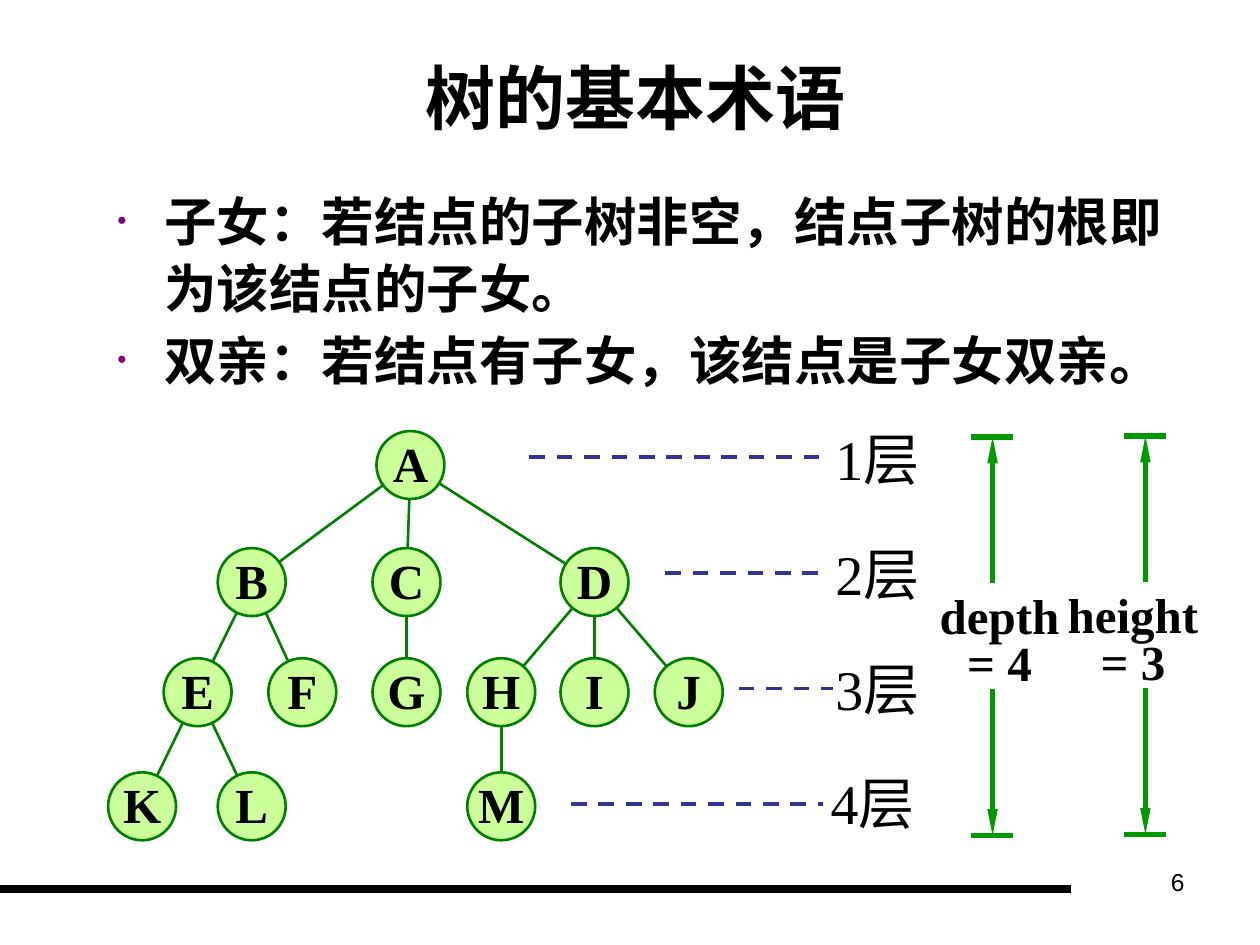
from math import hypot

from lxml import etree
from pptx import Presentation
from pptx import util as u
from pptx.dml.color import RGBColor
from pptx.enum import dml, shapes, text
from pptx.oxml import ns

Cm, Pt = u.Cm, u.Pt
HUES = {
    "ink": "000000",
    "bullet": "800080",
    "node": "CCFF99",
    "edge": "008000",
    "level": "333399",
    "span": "009900",
}
SERIF, SANS = "Times New Roman", "Arial"
MID = text.PP_ALIGN.CENTER

SIZE = 1.37  # node diameter
ROWS = (0, 2.36, 4.58, 6.88)
COLS = {
    "A": (5.41, 0),
    "B": (2.21, 1), "C": (5.33, 1), "D": (9.12, 1),
    "E": (1.12, 2), "F": (3.23, 2), "G": (5.33, 2),
    "H": (7.24, 2), "I": (9.12, 2), "J": (11.02, 2),
    "K": (0, 3), "L": (2.21, 3), "M": (7.24, 3),
}
KIDS = {"A": "BCD", "B": "EF", "C": "G", "D": "HIJ", "E": "KL", "H": "M"}


def hue(name):
    return RGBColor.from_string(HUES[name])


def add(parent, tag, **attrs):
    return etree.SubElement(parent, ns.qn(tag), attrs)


def style(frame, size, font=SERIF, bold=False, align=MID):
    for para in frame.paragraphs:
        para.alignment = align
        for run in para.runs:
            run.font.size = Pt(size)
            run.font.name = font
            run.font.bold = bold
            run.font.color.rgb = hue("ink")


def place(shape, left, top, width, height):
    shape.left, shape.top = Cm(left), Cm(top)
    shape.width, shape.height = Cm(width), Cm(height)


def line(slide, start, end, color, width, dash=False, arrow=False):
    """Straight line; an arrow points at its end."""
    link = slide.shapes.add_connector(
        shapes.MSO_CONNECTOR.STRAIGHT, *map(Cm, (*start, *end)))
    link.line.color.rgb = hue(color)
    link.line.width = Pt(width)
    if dash:
        link.line.dash_style = dml.MSO_LINE.DASH
    if arrow:
        add(link.line._get_or_add_ln(), "a:tailEnd",
            type="triangle", w="sm", len="lg")
    add(link._element.spPr, "a:effectLst")


def label(slide, words, left, top, width, height):
    """Unwrapped text box without side margins, centred on its box."""
    box = slide.shapes.add_textbox(*map(Cm, (left, top, width, height)))
    frame = box.text_frame
    frame.word_wrap = False
    frame.auto_size = text.MSO_AUTO_SIZE.SHAPE_TO_FIT_TEXT
    frame.margin_left = frame.margin_right = 0
    frame.vertical_anchor = text.MSO_ANCHOR.MIDDLE
    frame.text = words
    return frame


def title(slide, words, *box):
    head = slide.shapes.title
    place(head, *box)
    frame = head.text_frame
    frame.text = words
    frame.auto_size = text.MSO_AUTO_SIZE.NONE
    frame.vertical_anchor = text.MSO_ANCHOR.MIDDLE
    style(frame, 40, SANS, True)


def terms(slide, items, *box):
    body = slide.placeholders[1]
    place(body, *box)
    frame = body.text_frame
    frame.text = "\n".join(items)
    frame.auto_size = text.MSO_AUTO_SIZE.NONE
    for i, para in enumerate(frame.paragraphs):
        para.line_spacing = 1.05
        para.space_before = Pt(3.7 if i else 0)
        props = para._p.get_or_add_pPr()
        props.set("marL", str(Cm(0.95)))
        props.set("indent", str(-Cm(0.95)))
        add(add(props, "a:buClr"), "a:srgbClr", val=HUES["bullet"])
        add(props, "a:buSzPct", val="50000")
        add(props, "a:buChar", char="•")
    style(frame, 30, bold=True, align=text.PP_ALIGN.LEFT)


def tree(slide, left, top):
    spots = {name: (left + x, top + ROWS[row])
             for name, (x, row) in COLS.items()}
    half = SIZE / 2
    for name, kids in KIDS.items():
        x, y = (v + half for v in spots[name])
        for kid in kids:
            dx, dy = (b - a for a, b in zip(spots[name], spots[kid]))
            cut = (half - 0.05) / hypot(dx, dy)
            line(slide, (x + cut * dx, y + cut * dy),
                 (x + (1 - cut) * dx, y + (1 - cut) * dy), "edge", 1.5)
    for name, (x, y) in spots.items():
        node = slide.shapes.add_shape(
            shapes.MSO_SHAPE.OVAL, Cm(x), Cm(y), Cm(SIZE), Cm(SIZE))
        node.shadow.inherit = False
        node.fill.solid()
        node.fill.fore_color.rgb = hue("node")
        node.line.color.rgb = hue("edge")
        node.line.width = Pt(1.5)
        frame = node.text_frame
        frame.word_wrap = False
        frame.vertical_anchor = text.MSO_ANCHOR.MIDDLE
        frame.margin_left = frame.margin_right = frame.margin_top = 0
        frame.margin_bottom = Cm(0.1)
        frame.text = name
        style(frame, 28, bold=True)


def levels(slide, left, top):
    """Dashed guides that end at the level names."""
    guides = ((0, 5.92, 5.79), (2.74, 5.92, 5.79),
              (4.22, 6.12, 5.79), (0.84, 5.92, 5.69))
    for i, (start, end, name) in enumerate(guides):
        y = top + 2.33 * i
        line(slide, (left + start, y), (left + end, y), "level", 2.25, True)
        frame = label(slide, f"{i + 1}层", left + name,
                      top - 0.79 + 2.31 * i, 2.46, 1.63)
        style(frame, 32)


def span(slide, words, left, top, shift, width):
    """Vertical measure with its name in the gap; shift moves the name."""
    x, low = left + 0.43, top + 8.03
    for y, step in ((top, 2.95), (low, -2.95)):
        line(slide, (left, y), (left + 0.85, y), "span", 3)
        line(slide, (x, y + step), (x, y), "span", 3, arrow=True)
    frame = label(slide, words, x + shift - width / 2, top + 3.09,
                  width, 2.16)
    for para in frame.paragraphs:
        para.line_spacing = 0.8
    style(frame, 28, bold=True)


def footer(slide, number, top):
    line(slide, (0, top), (21.59, top), "ink", 4.5)
    frame = label(slide, number, 18.21, top - 0.58, 5.67, 1.32)
    frame.word_wrap = True
    frame.auto_size = text.MSO_AUTO_SIZE.NONE
    frame.vertical_anchor = text.MSO_ANCHOR.TOP
    style(frame, 14, SANS, align=text.PP_ALIGN.RIGHT)


def main():
    deck = Presentation()
    deck.slide_width, deck.slide_height = Cm(25.4), Cm(19.05)
    slide = deck.slides.add_slide(deck.slide_layouts[1])
    footer(slide, "6", 17.93)
    title(slide, "树的基本术语", 2.01, 0.81, 21.59, 2.26)
    terms(slide, ("子女：若结点的子树非空，结点子树的根即为该结点的子女。",
                  "双亲：若结点有子女，该结点是子女双亲。"),
          2.11, 3.63, 21.79, 4.4)
    tree(slide, 2.18, 8.69)
    levels(slide, 10.67, 9.22)
    span(slide, "depth\n= 4", 19.58, 8.81, 0.14, 2.92)
    span(slide, "height\n= 3", 22.66, 8.79, -0.25, 3.12)
    deck.save("out.pptx")


if __name__ == "__main__":
    main()
